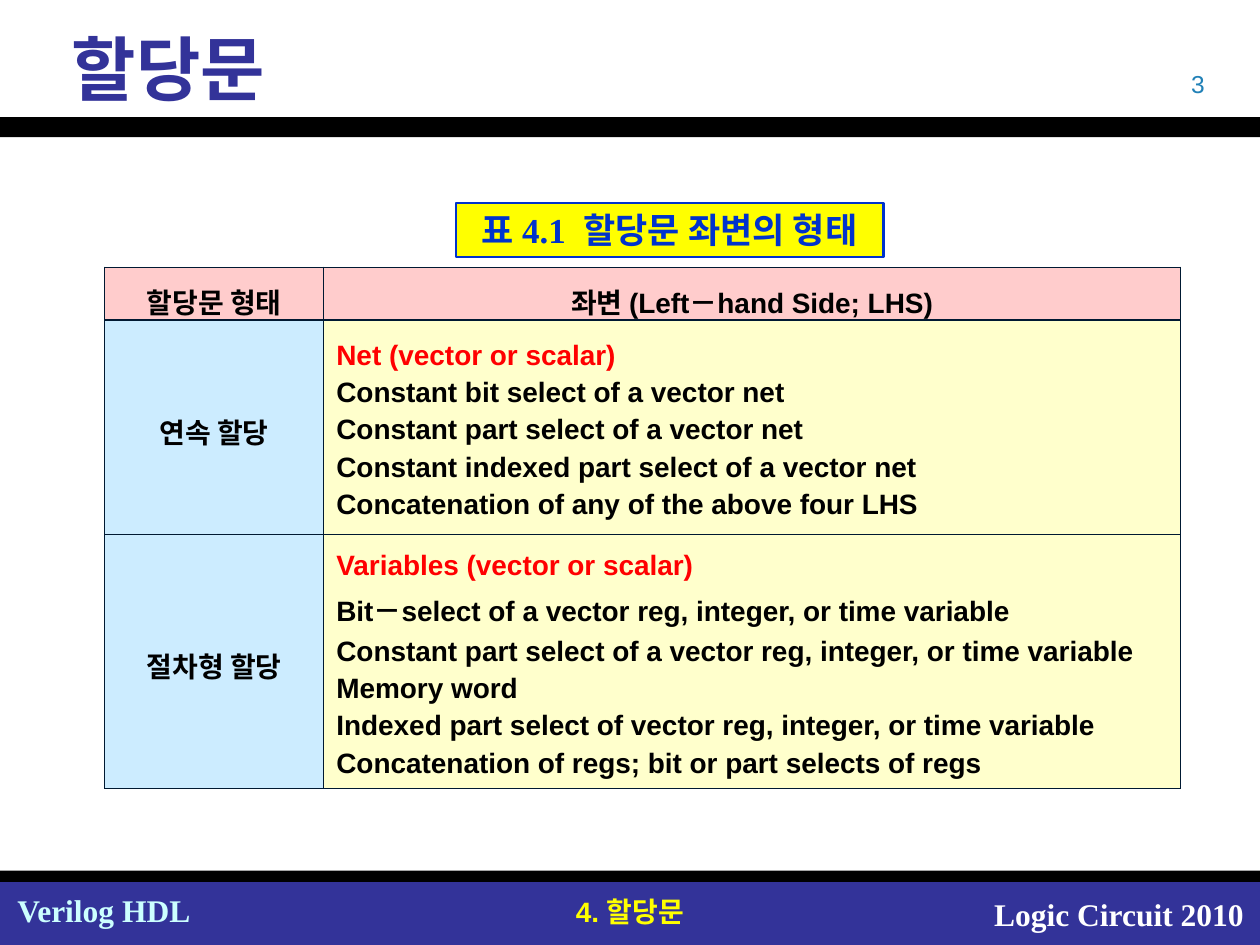
from lxml import etree
from pptx import Presentation
from pptx.dml.color import RGBColor
from pptx.enum.shapes import MSO_SHAPE
from pptx.enum.text import MSO_ANCHOR, MSO_AUTO_SIZE, PP_ALIGN
from pptx.oxml import parse_xml
from pptx.oxml.ns import nsdecls, qn
from pptx.util import Inches, Pt

LEFT, CENTER, RIGHT = PP_ALIGN.LEFT, PP_ALIGN.CENTER, PP_ALIGN.RIGHT
MIDDLE, TOP = MSO_ANCHOR.MIDDLE, MSO_ANCHOR.TOP
RECTANGLE, FIXED = MSO_SHAPE.RECTANGLE, MSO_AUTO_SIZE.NONE
SANS, SERIF = "Arial", "Times New Roman"
NAVY, BLACK, YELLOW, BLUE, RED = "333399", "000000", "FFFF00", "0033CC", "FF0000"

prs = Presentation()
prs.slide_width, prs.slide_height = Inches(10), Inches(7.5)
slide = prs.slides.add_slide(prs.slide_layouts[5])
shapes = slide.shapes


def area(x, y, width, height):
    """Turn percentages of the slide's size into lengths."""
    across, down = prs.slide_width / 100, prs.slide_height / 100
    return [round(n) for n in (x * across, y * down, width * across, height * down)]


def write(paragraph, text, size, font, colour, bold=True, align=LEFT):
    paragraph.text = text
    paragraph.alignment = align
    look = {"size": Pt(size), "name": font, "bold": bold}
    for attribute, value in look.items():
        setattr(paragraph.font, attribute, value)
    paragraph.font.color.rgb = RGBColor.from_string(colour)


# Bands, and the yellow table caption
bands = [
    (NAVY, (0, 93.33, 100, 6.67)),
    (BLACK, (0, 12.4, 100, 2.13)),
    (BLACK, (0, 92.13, 100, 1.2)),
    (YELLOW, (36.2, 21.47, 33.9, 5.73)),
]
for colour, place in bands:
    band = shapes.add_shape(RECTANGLE, *area(*place))
    band.shadow.inherit = False
    band.fill.solid()
    band.fill.fore_color.rgb = RGBColor.from_string(colour)
    band.line.fill.background()

caption = band
caption.line.color.rgb = RGBColor.from_string(BLUE)
caption.line.width = Pt(1.5)
caption.text_frame.word_wrap = False
caption.text_frame.vertical_anchor = MIDDLE
write(caption.text_frame.paragraphs[0], "표 4.1  할당문 좌변의 형태", 20, SERIF, BLUE, align=CENTER)

# Footer and page number
labels = [
    ("4. 할당문", (36.6, 94, 26.8, 4.93), 16, SANS, YELLOW, True, CENTER),
    ("Logic Circuit 2010", (77.2, 94, 22.5, 5.33), 18, SERIF, "FFFFFF", True, RIGHT),
    ("Verilog HDL", (0.4, 93.6, 15.8, 5.33), 18, SERIF, "CCFFFF", True, LEFT),
    ("3", (73.3, 6.67, 23.3, 4.4), 14, SANS, "2181B7", False, RIGHT),
]
for text, place, *style in labels:
    label = shapes.add_textbox(*area(*place)).text_frame
    label.word_wrap = True
    label.margin_right = Inches(0.02 if text == "Verilog HDL" else 0.1)
    label.vertical_anchor = TOP
    write(label.paragraphs[0], text, *style)

# Title
title = shapes.title
title.left, title.top, title.width, title.height = area(1.7, 2.8, 96.7, 8.67)
title.text_frame.auto_size = FIXED
title.text_frame.vertical_anchor = MIDDLE
heading = title.text_frame.paragraphs[0]
write(heading, "할당문", 40, SERIF, NAVY)
heading_properties = heading._p.get_or_add_pPr()
heading_properties.set("marL", str(Inches(0.3)))
heading_properties.set("indent", "0")

# Table of left-hand sides: (first cell, second cell, fills)
rows = [
    (["할당문 형태"], ["좌변 (Left－hand Side; LHS)"], ("FFCCCC", "FFCCCC")),
    (["연속 할당"], [
        "Net (vector or scalar)",
        "Constant bit select of a vector net",
        "Constant part select of a vector net",
        "Constant indexed part select of a vector net",
        "Concatenation of any of the above four LHS",
    ], ("CCECFF", "FFFFCC")),
    (["절차형 할당"], [
        "Variables (vector or scalar)",
        "Bit－select of a vector reg, integer, or time variable",
        "Constant part select of a vector reg, integer, or time variable",
        "Memory word",
        "Indexed part select of vector reg, integer, or time variable",
        "Concatenation of regs; bit or part selects of regs",
    ], ("CCECFF", "FFFFCC")),
]
column_shares, row_shares = (17.4, 68), (5.6, 22.67, 26.93)
table = shapes.add_table(3, 2, *area(8.3, 28.27, sum(column_shares), sum(row_shares))).table
for column, share in zip(table.columns, column_shares):
    column.width = round(prs.slide_width * share / 100)
for row, share in zip(table.rows, row_shares):
    row.height = round(prs.slide_height * share / 100)

border = (
    '<a:{0} %s w="9525"><a:solidFill><a:srgbClr val="001932"/></a:solidFill></a:{0}>'
    % nsdecls("a")
)
for r, (form, sides, fills) in enumerate(rows):
    for c, (lines, fill) in enumerate(zip((form, sides), fills)):
        cell = table.cell(r, c)
        cell.vertical_anchor = MIDDLE
        is_list = len(lines) > 1
        for i, text in enumerate(lines):
            frame = cell.text_frame
            paragraph = frame.add_paragraph() if i else frame.paragraphs[0]
            paragraph.line_spacing = 1.2
            colour = RED if is_list and i == 0 else BLACK
            write(paragraph, text, 16, SANS, colour, align=LEFT if is_list else CENTER)
        # Borders stand before the fill in the cell's properties
        properties = cell._tc.get_or_add_tcPr()
        for side in ("lnL", "lnR", "lnT", "lnB"):
            properties.append(parse_xml(border.format(side)))
        solid = etree.SubElement(properties, qn("a:solidFill"))
        etree.SubElement(solid, qn("a:srgbClr")).set("val", fill)

prs.save("out.pptx")
